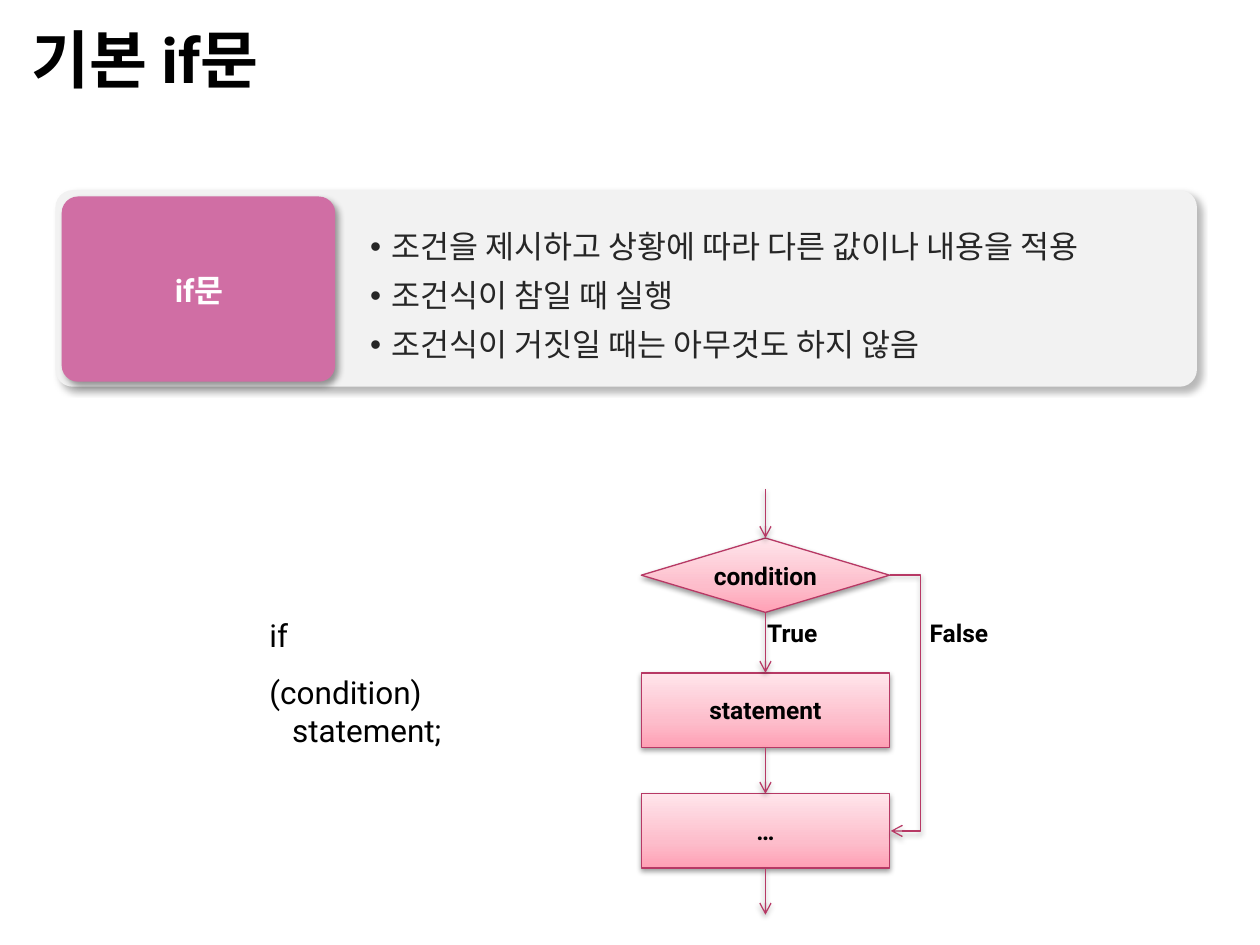
"""Build a slide that explains the basic if statement with a flowchart."""
from copy import deepcopy

from lxml.etree import SubElement
from pptx import Presentation
from pptx.dml.color import RGBColor
from pptx.enum.shapes import MSO_CONNECTOR as Link, MSO_SHAPE as Shape
from pptx.enum.text import MSO_ANCHOR as Anchor, MSO_AUTO_SIZE as AutoSize, PP_ALIGN as Align
from pptx.oxml.ns import qn
from pptx.util import Inches, Pt

BLACK = RGBColor(0x00, 0x00, 0x00)
WHITE = RGBColor(0xFF, 0xFF, 0xFF)
DARK = RGBColor(0x26, 0x26, 0x26)
PANEL = RGBColor(0xF2, 0xF2, 0xF2)
PINK = RGBColor(0xD0, 0x6E, 0xA4)
LINE = RGBColor(0xB7, 0x39, 0x65)
GRADIENT = [
    (0, RGBColor(0xFF, 0xA0, 0xB5)),
    (0.35, RGBColor(0xFD, 0xBD, 0xCB)),
    (1, RGBColor(0xFF, 0xE5, 0xEB)),
]
FONT = "Roboto"

TITLE = "기본 if문"
LABEL = "if문"
POINTS = [
    "조건을 제시하고 상황에 따라 다른 값이나 내용을 적용",
    "조건식이 참일 때 실행",
    "조건식이 거짓일 때는 아무것도 하지 않음",
]
CODE = ["if (condition)", "statement;"]
CARDS = [
    ((0.44, 1.51, 9.06, 1.56), PANEL, 27),
    ((0.49, 1.56, 2.17, 1.47), PINK, 40),
]
STEPS = [
    ("condition", Shape.FLOWCHART_DECISION, 4.27),
    ("statement", Shape.RECTANGLE, 5.34),
    ("…", Shape.RECTANGLE, 6.30),
]
BRANCHES = [("False", 7.28, 0.70), ("True", 5.99, 0.62)]
STEP_LEFT, STEP_WIDTH, STEP_HEIGHT = 5.09, 1.97, 0.59
FLOW_START, FLOW_END = 3.88, 7.26
DETOUR, DETOUR_WIDTH = 0.25, 0.01
CARD_SHADOW = (4, 3, 45)
FLOW_SHADOW = (3.1, 1.6, 90)


def add_shadow(shape, alpha, blur, distance, angle):
    effects = shape._element.spPr.find(qn("a:effectLst"))
    if effects is None:
        effects = SubElement(shape._element.spPr, qn("a:effectLst"))
    shadow = SubElement(effects, qn("a:outerShdw"), blurRad=str(Pt(blur)),
                        dist=str(Pt(distance)), dir=str(angle * 60000),
                        algn="tl", rotWithShape="0")
    color = SubElement(shadow, qn("a:srgbClr"), val=str(BLACK))
    SubElement(color, qn("a:alpha"), val=str(alpha * 1000))


def add_span(para, text, size, color=BLACK, bold=False):
    span = para.add_run()
    span.text = text
    span.font.name = FONT
    span.font.size = Pt(size)
    span.font.bold = bold
    span.font.color.rgb = color


def add_text(page, place, lines, size, color=BLACK, bold=False, fit=True):
    box = page.shapes.add_textbox(*map(Inches, place))
    frame = box.text_frame
    frame.word_wrap = True
    frame.auto_size = AutoSize.SHAPE_TO_FIT_TEXT if fit else AutoSize.NONE
    for index, line in enumerate(lines):
        para = frame.paragraphs[0] if index == 0 else frame.add_paragraph()
        add_span(para, line, size, color, bold)
    return frame


def indent(para, left, first=0):
    props = para._p.get_or_add_pPr()
    props.set("marL", str(Inches(left)))
    props.set("indent", str(Inches(first)))
    return props


def add_card(page, place, color, alpha):
    card = page.shapes.add_shape(Shape.ROUNDED_RECTANGLE, *map(Inches, place))
    card.adjustments[0] = 0.088
    card.fill.solid()
    card.fill.fore_color.rgb = color
    card.line.fill.background()
    card.shadow.inherit = False
    add_shadow(card, alpha, *CARD_SHADOW)


def fill_gradient(shape):
    shape.fill.gradient()
    shape.fill.gradient_angle = 90
    stops = shape._element.spPr.find(".//" + qn("a:gsLst"))
    stops.append(deepcopy(stops[0]))
    for stop, (position, color) in zip(shape.fill.gradient_stops, GRADIENT):
        stop.position = position
        stop.color.rgb = color


def add_step(page, text, kind, top):
    step = page.shapes.add_shape(
        kind, *map(Inches, (STEP_LEFT, top, STEP_WIDTH, STEP_HEIGHT)))
    fill_gradient(step)
    step.line.color.rgb = LINE
    step.line.width = Pt(0.75)
    step.shadow.inherit = False
    add_shadow(step, 38, *FLOW_SHADOW)
    frame = step.text_frame
    frame.margin_left = frame.margin_right = 0
    frame.vertical_anchor = Anchor.MIDDLE
    para = frame.paragraphs[0]
    para.alignment = Align.CENTER
    add_span(para, text, 14, bold=True)
    return step


def add_arrow(page, kind, start, end):
    arrow = page.shapes.add_connector(kind, *map(Inches, start + end))
    arrow.line.color.rgb = LINE
    arrow.line.width = Pt(0.75)
    SubElement(arrow.line._get_or_add_ln(), qn("a:tailEnd"), type="arrow")
    add_shadow(arrow, 38, *FLOW_SHADOW)
    return arrow


def add_flow(page):
    steps = [add_step(page, *step) for step in STEPS]
    tops = [top for _, _, top in STEPS]
    center = STEP_LEFT + STEP_WIDTH / 2
    starts = [FLOW_START] + [top + STEP_HEIGHT for top in tops]
    ends = tops + [FLOW_END]
    for start, end, source, target in zip(starts, ends, [None] + steps, steps + [None]):
        arrow = add_arrow(page, Link.STRAIGHT, (center, start), (center, end))
        if source:
            arrow.begin_connect(source, 2)
        if target:
            arrow.end_connect(target, 0)
    right = STEP_LEFT + STEP_WIDTH
    middles = [top + STEP_HEIGHT / 2 for top in tops]
    bypass = add_arrow(page, Link.ELBOW, (right, middles[0]),
                       (right + DETOUR_WIDTH, middles[-1]))
    guides = bypass._element.spPr.find(qn("a:prstGeom")).get_or_add_avLst()
    SubElement(guides, qn("a:gd"), name="adj1",
               fmla=f"val {round(DETOUR / DETOUR_WIDTH * 100000)}")
    for text, left, width in BRANCHES:
        add_text(page, (left, 4.86, width, 0.34), [text], 14, bold=True)


def main():
    deck = Presentation()
    deck.slide_width, deck.slide_height = Inches(10), Inches(7.5)
    page = deck.slides.add_slide(deck.slide_layouts[6])
    for card in CARDS:
        add_card(page, *card)
    label = add_text(page, (1.27, 2.1, 0.62, 0.4), [LABEL], 18, WHITE, True)
    label.paragraphs[0].alignment = Align.CENTER
    points = add_text(page, (2.84, 1.68, 6.47, 1.27), POINTS, 18, DARK)
    for para in points.paragraphs:
        para.line_spacing = Pt(27)
        para.space_before = Pt(1)
        props = indent(para, 0.17, -0.17)
        SubElement(props, qn("a:buFont"), typeface="Arial")
        SubElement(props, qn("a:buChar"), char="•")
    title = add_text(page, (0.15, 0.12, 9, 0.69), [TITLE], 36, bold=True, fit=False)
    title.vertical_anchor = Anchor.MIDDLE
    code = add_text(page, (2.04, 4.69, 1.59, 0.94), CODE, 18)
    code.paragraphs[0].line_spacing = 1.5
    indent(code.paragraphs[1], 0.18)
    add_flow(page)
    deck.save("out.pptx")


if __name__ == "__main__":
    main()
